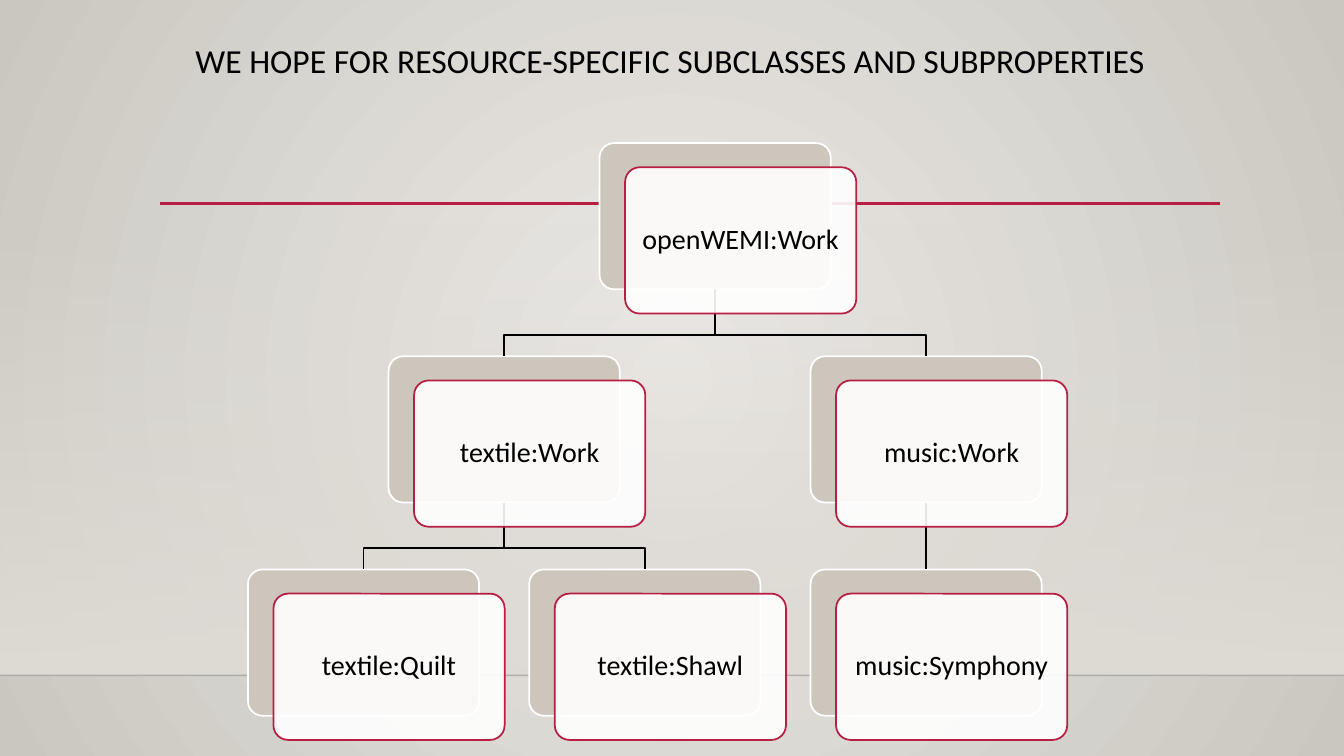
"""Build a slide with a tree of resource-specific subclasses."""
from dataclasses import dataclass

from lxml.etree import SubElement
from pptx import Presentation
from pptx.dml.color import RGBColor
from pptx.enum.shapes import MSO_CONNECTOR as Connector, MSO_SHAPE as Shape
from pptx.enum.text import MSO_ANCHOR as Anchor, PP_ALIGN as Align
from pptx.oxml.ns import qn
from pptx.util import Emu, Inches, Pt

COLORS = {
    "center": "ECEAE7", "edge": "CAC7C1", "band": "DFDBD5", "floor": "000001",
    "accent": "B71E42", "card": "CCC6BC", "white": "FFFFFF", "black": "000000",
}
FONT = "Calibri"
WIDTH, HEIGHT = Inches(13.33), Inches(7.5)
FIRST_LEFT, FIRST_TOP = 18.45, 18.93
COLUMN_STEP, ROW_STEP = 20.93, 28.2
CARD_WIDTH, CARD_HEIGHT = 17.2, 19.35
SHIFT_RIGHT, SHIFT_DOWN = 1.9, 3.2
BEND = 0.68


@dataclass(frozen=True)
class Node:
    name: str
    column: float
    row: int
    parent: str = ""
    line_width: float = 1.5

    @property
    def left(self) -> float:
        return FIRST_LEFT + self.column * COLUMN_STEP

    @property
    def top(self) -> float:
        return FIRST_TOP + self.row * ROW_STEP

    @property
    def middle(self) -> float:
        return self.left + CARD_WIDTH / 2

    @property
    def bottom(self) -> float:
        return self.top + CARD_HEIGHT


@dataclass(frozen=True)
class Rule:
    left: float
    right: float
    top: float
    color: str
    width: float
    opacity: int = 100


NODES = [
    Node("openWEMI:Work", 1.25, 0),
    Node("textile:Work", 0.5, 1, "openWEMI:Work"),
    Node("textile:Quilt", 0, 2, "textile:Work", 1.25),
    Node("textile:Shawl", 1, 2, "textile:Work"),
    Node("music:Work", 2, 1, "openWEMI:Work"),
    Node("music:Symphony", 2, 2, "music:Work", 1.25),
]
RULES = [
    Rule(0, 100, 89.33, "floor", 1, 20),
    Rule(11.93, 90.77, 26.93, "accent", 2.5),
]


def across(percent: float) -> Emu:
    """Turn a percentage of the slide's width into a length."""
    return Emu(round(WIDTH * percent / 100))


def down(percent: float) -> Emu:
    """Turn a percentage of the slide's height into a length."""
    return Emu(round(HEIGHT * percent / 100))


def color(name: str) -> RGBColor:
    """Look up a colour by name."""
    return RGBColor.from_string(COLORS[name])


def set_opacity(color_element, percent: int) -> None:
    """Give a colour element an opacity."""
    SubElement(color_element, qn("a:alpha")).set("val", str(percent * 1000))


def set_line(shape, name: str, width: float) -> None:
    """Set the colour and width of a line."""
    shape.line.color.rgb = color(name)
    shape.line.width = Pt(width)


def set_gradient(fill, first: str, last: str) -> None:
    """Apply a gradient of two colours."""
    fill.gradient()
    for stop, name in zip(fill.gradient_stops, (first, last)):
        stop.color.rgb = color(name)


def add_background(slide) -> None:
    """Paint the radial background and the fading band."""
    set_gradient(slide.background.fill, "center", "edge")
    gradient = next(slide.element.iter(qn("a:gradFill")))
    gradient.remove(gradient.find(qn("a:lin")))
    radial = SubElement(gradient, qn("a:path"), {"path": "circle"})
    SubElement(radial, qn("a:fillToRect"), dict.fromkeys("ltrb", "50000"))

    band = slide.shapes.add_shape(
        Shape.RECTANGLE, 0, down(29.47), WIDTH, down(59.86))
    band.shadow.inherit = False
    set_gradient(band.fill, "band", "band")
    band.fill.gradient_angle = 270
    band.line.fill.background()
    set_opacity(next(band.element.spPr.iter(qn("a:srgbClr"))), 0)


def add_straight(slide, start: tuple[float, float], end: tuple[float, float]):
    """Add a straight connector between two points."""
    connector = slide.shapes.add_connector(
        Connector.STRAIGHT, across(start[0]), down(start[1]),
        across(end[0]), down(end[1]))
    return connector


def finish_connector(connector, name: str, width: float, opacity: int = 100) -> None:
    """Style a connector and take away its shadow."""
    set_line(connector, name, width)
    properties = connector.element.spPr
    if opacity < 100:
        set_opacity(next(properties.iter(qn("a:srgbClr"))), opacity)
    SubElement(properties, qn("a:effectLst"))


def set_text(shape, text: str, size: float, anchor: Anchor) -> None:
    """Write one centred paragraph."""
    frame = shape.text_frame
    frame.word_wrap = True
    frame.vertical_anchor = anchor
    paragraph = frame.paragraphs[0]
    paragraph.text = text
    paragraph.alignment = Align.CENTER
    paragraph.line_spacing = 0.9
    paragraph.font.name = FONT
    paragraph.font.size = Pt(size)
    paragraph.font.color.rgb = color("black")


def add_card(slide, left: float, top: float, fill: str, line: str):
    """Add one rounded card."""
    card = slide.shapes.add_shape(
        Shape.ROUNDED_RECTANGLE, across(left), down(top),
        across(CARD_WIDTH), down(CARD_HEIGHT))
    card.adjustments[0] = 0.1
    card.shadow.inherit = False
    card.fill.solid()
    card.fill.fore_color.rgb = color(fill)
    set_line(card, line, 1.25)
    return card


def add_branch(slide, parent: Node, child: Node, cards: dict) -> None:
    """Link a parent to its child, bending where their columns differ."""
    start, end = (parent.middle, parent.bottom), (child.middle, child.top)
    if parent.column == child.column:
        connector = add_straight(slide, start, end)
        connector.begin_connect(cards[parent.name], 2)
        connector.end_connect(cards[child.name], 0)
        finish_connector(connector, "black", child.line_width)
        return
    bend = parent.bottom + BEND * (child.top - parent.bottom)
    corners = [(parent.middle, bend), (child.middle, bend), end]
    builder = slide.shapes.build_freeform(across(start[0]), down(start[1]))
    builder.add_line_segments([(across(x), down(y)) for x, y in corners], close=False)
    branch = builder.convert_to_shape()
    branch.shadow.inherit = False
    branch.fill.background()
    set_line(branch, "black", child.line_width)


def add_tree(slide) -> None:
    """Draw the cards, their branches and their labels."""
    nodes = {node.name: node for node in NODES}
    cards = {node.name: add_card(slide, node.left, node.top, "card", "white")
             for node in NODES}
    for node in NODES:
        if node.parent:
            add_branch(slide, nodes[node.parent], node, cards)
    for node in NODES:
        label = add_card(slide, node.left + SHIFT_RIGHT, node.top + SHIFT_DOWN,
                         "white", "accent")
        set_opacity(next(label.element.spPr.iter(qn("a:srgbClr"))), 90)
        frame = label.text_frame
        frame.margin_left = frame.margin_right = across(0.6)
        set_text(label, node.name, 20, Anchor.MIDDLE)


def main() -> None:
    """Build and save the presentation."""
    presentation = Presentation()
    presentation.slide_width, presentation.slide_height = WIDTH, HEIGHT
    slide = presentation.slides.add_slide(presentation.slide_layouts[6])
    add_background(slide)
    for rule in RULES:
        line = add_straight(slide, (rule.left, rule.top), (rule.right, rule.top))
        finish_connector(line, rule.color, rule.width, rule.opacity)
    title = slide.shapes.add_textbox(
        across(10.65), down(5.2), across(78.4), down(15.33))
    set_text(title, "WE HOPE FOR RESOURCE-SPECIFIC SUBCLASSES AND SUBPROPERTIES",
             24, Anchor.TOP)
    add_tree(slide)
    presentation.save("out.pptx")


if __name__ == "__main__":
    main()
